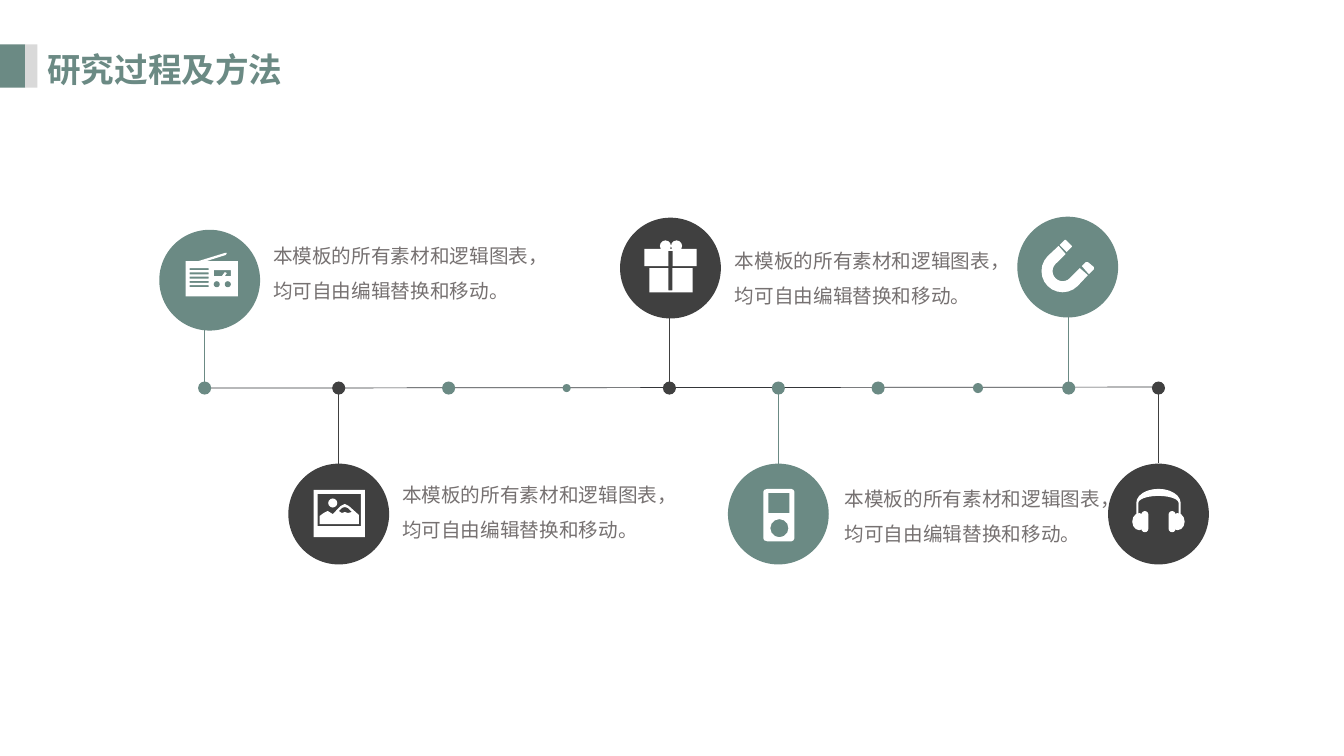
from math import cos, radians, sin

from lxml.etree import SubElement
from pptx import Presentation
from pptx.dml.color import RGBColor
from pptx.enum.shapes import MSO_CONNECTOR, MSO_SHAPE
from pptx.enum.text import MSO_AUTO_SIZE
from pptx.oxml.ns import qn
from pptx.util import Inches, Pt

FONT = "Noto Sans CJK SC"
GREEN, DARK, WHITE = "6B8A84", "404040", "FFFFFF"
CAPTION = "本模板的所有素材和逻辑图表，均可自由编辑替换和移动。"
STEM, BADGE, ARC_STEPS = 0.75, 1, 12

DOTS = [
    (2.03, 0.13, GREEN), (3.36, 0.13, DARK), (4.45, 0.13, GREEN),
    (5.62, 0.08, GREEN), (6.64, 0.13, DARK), (7.72, 0.13, GREEN),
    (8.71, 0.13, GREEN), (9.7, 0.1, GREEN), (10.6, 0.13, GREEN),
    (11.49, 0.13, DARK),
]
MILESTONES = [
    (2.03, 3.16, 1.58, 2.28, GREEN), (3.36, 3.91, 2.86, 4.6, DARK),
    (6.64, 3.12, 6.15, 2.16, DARK), (7.72, 3.91, 7.22, 4.6, GREEN),
    (10.6, 3.09, 10.09, 2.15, GREEN), (11.49, 3.84, 10.99, 4.6, DARK),
]
CAPTIONS = [(2.61, 2.25, 2.8), (3.89, 4.62, 2.74),
            (7.19, 2.3, 2.86), (8.28, 4.66, 2.74)]


def color(value):
    """Turn a hex string into a colour."""
    return RGBColor.from_string(value)


def paint(shape, fill):
    """Give a shape a flat fill without outline or shadow."""
    shape.shadow.inherit = False
    shape.fill.solid()
    shape.fill.fore_color.rgb = color(fill)
    shape.line.fill.background()


def add_preset(slide, kind, left, top, width, height, fill):
    """Add a flat preset shape."""
    shape = slide.shapes.add_shape(
        kind, Inches(left), Inches(top), Inches(width), Inches(height))
    paint(shape, fill)
    return shape


def add_disc(slide, x, y, diameter, fill):
    """Add a circle around a centre point."""
    add_preset(slide, MSO_SHAPE.OVAL, x - diameter / 2, y - diameter / 2,
               diameter, diameter, fill)


def add_line(slide, x1, y1, x2, y2, stroke):
    """Add a thin straight line."""
    line = slide.shapes.add_connector(
        MSO_CONNECTOR.STRAIGHT, Inches(x1), Inches(y1), Inches(x2), Inches(y2))
    line.line.color.rgb = color(stroke)
    line.line.width = Pt(0.5)
    SubElement(line._element.spPr, qn("a:effectLst"))


def add_text(slide, left, top, width, height, text, size, fill, bold=False, spacing=1):
    """Add a wrapped text box with one paragraph."""
    box = slide.shapes.add_textbox(
        Inches(left), Inches(top), Inches(width), Inches(height))
    frame = box.text_frame
    frame.word_wrap = True
    frame.auto_size = MSO_AUTO_SIZE.SHAPE_TO_FIT_TEXT
    paragraph = frame.paragraphs[0]
    paragraph.line_spacing = float(spacing)
    run = paragraph.add_run()
    run.text = text
    run.font.name = FONT
    run.font.size = Pt(size)
    run.font.bold = bold
    run.font.color.rgb = color(fill)
    SubElement(run._r.get_or_add_rPr(), qn("a:ea"), typeface=FONT)


def arc(x, y, radius_x, radius_y, start, end):
    """Return points along an elliptical arc, in degrees."""
    angles = [radians(start + (end - start) * step / ARC_STEPS)
              for step in range(ARC_STEPS + 1)]
    return [(x + radius_x * cos(a), y + radius_y * sin(a)) for a in angles]


def circle(x, y, radius):
    """Return the outline of a circle."""
    return arc(x, y, radius, radius, 0, 360)


def rectangle(left, top, right, bottom):
    """Return the outline of a rectangle."""
    return [(left, top), (right, top), (right, bottom), (left, bottom)]


def add_outline(slide, *contours):
    """Add a white freeform; inner contours become holes."""
    contours = [[(Inches(x), Inches(y)) for x, y in c] for c in contours]
    builder = slide.shapes.build_freeform(*contours[0][0])
    for index, contour in enumerate(contours):
        if index:
            builder.move_to(*contour[0])
        builder.add_line_segments(contour[1:], close=True)
    paint(builder.convert_to_shape(), WHITE)


def draw_radio(slide):
    """Draw the radio icon."""
    body = [(1.84, 2.59), (1.97, 2.59), (2.23, 2.51), (2.25, 2.51),
            (2.24, 2.53), (2.05, 2.59), (2.36, 2.59), (2.36, 2.94), (1.84, 2.94)]
    slots = [rectangle(1.88, 2.66 + 0.0425 * row, 2.07, 2.68 + 0.0425 * row)
             for row in range(5)]
    dial = [(2.12, 2.68), (2.29, 2.68), (2.29, 2.74), (2.23, 2.74),
            (2.25, 2.71), (2.23, 2.7), (2.2, 2.74), (2.12, 2.74)]
    add_outline(slide, body, *slots, dial)
    for x in (2.15, 2.26):
        add_disc(slide, x, 2.82, 0.06, GREEN)


def draw_photo(slide):
    """Draw the framed landscape icon."""
    add_outline(slide, rectangle(3.11, 4.86, 3.62, 5.33),
                rectangle(3.15, 4.9, 3.58, 5.22))
    add_disc(slide, 3.3, 4.99, 0.09, WHITE)
    hills = [(3.17, 5.12), (3.21, 5.09), (3.25, 5.07), (3.3, 5.1), (3.38, 5.02),
             (3.42, 5), (3.46, 5.02), (3.56, 5.11), (3.56, 5.2), (3.17, 5.2)]
    snow = [(3.45, 5.09), (3.42, 5.08), (3.39, 5.09), (3.36, 5.07),
            (3.39, 5.04), (3.42, 5.03), (3.45, 5.04), (3.49, 5.08)]
    add_outline(slide, hills, snow)


def draw_gift(slide):
    """Draw the gift icon."""
    for x in (6.6, 6.71):
        add_disc(slide, x, 2.44, 0.11, WHITE)
    add_outline(slide, [(6.39, 2.47), (6.91, 2.47), (6.91, 2.64), (6.67, 2.64),
                        (6.67, 2.49), (6.63, 2.49), (6.63, 2.64), (6.39, 2.64)])
    add_outline(slide, [(6.44, 2.66), (6.63, 2.66), (6.63, 2.88), (6.67, 2.88),
                        (6.67, 2.66), (6.87, 2.66), (6.87, 2.9), (6.44, 2.9)])


def draw_player(slide):
    """Draw the music player icon."""
    case = [(7.57, 4.88), (7.58, 4.86), (7.61, 4.85), (7.85, 4.85),
            (7.87, 4.86), (7.88, 4.88), (7.88, 5.34), (7.87, 5.36),
            (7.85, 5.37), (7.61, 5.37), (7.58, 5.36), (7.57, 5.34)]
    add_outline(slide, case, rectangle(7.62, 4.89, 7.83, 5.09),
                circle(7.73, 5.24, 0.09))


def draw_magnet(slide):
    """Draw the magnet icon."""
    add_outline(slide, [(10.51, 2.43), (10.56, 2.38), (10.57, 2.38),
                        (10.63, 2.44), (10.63, 2.45), (10.58, 2.5)])
    add_outline(slide, [(10.5, 2.44), *arc(10.54, 2.69, 0.21, 0.21, 225, 45),
                        (10.79, 2.73), (10.71, 2.66),
                        *arc(10.54, 2.69, 0.1, 0.1, 45, 225), (10.57, 2.52)])
    add_outline(slide, [(10.73, 2.64), (10.77, 2.6), (10.79, 2.6),
                        (10.85, 2.65), (10.85, 2.67), (10.8, 2.72)])


def draw_headphones(slide):
    """Draw the headphones icon."""
    add_outline(slide, [(11.27, 5.12), *arc(11.49, 4.99, 0.22, 0.14, 180, 360),
                        (11.71, 5.12), (11.69, 5.12),
                        *arc(11.49, 4.99, 0.2, 0.07, 360, 180), (11.29, 5.12)])
    for ear, cup in ((11.23, 11.32), (11.61, 11.59)):
        add_preset(slide, MSO_SHAPE.OVAL, ear, 5.09, 0.14, 0.17, WHITE)
        pad = add_preset(slide, MSO_SHAPE.ROUNDED_RECTANGLE,
                         cup, 5.07, 0.07, 0.21, WHITE)
        pad.adjustments[0] = 0.5


def main():
    """Build and save the slide."""
    presentation = Presentation()
    presentation.slide_width = Inches(13.33)
    presentation.slide_height = Inches(7.5)
    slide = presentation.slides.add_slide(presentation.slide_layouts[6])
    add_line(slide, 1.97, 3.85, 11.53, 3.84, "343639")
    for x, diameter, fill in DOTS:
        add_disc(slide, x, 3.85, diameter, fill)
    for stem_x, stem_top, left, top, fill in MILESTONES:
        add_line(slide, stem_x, stem_top, stem_x, stem_top + STEM, fill)
        add_preset(slide, MSO_SHAPE.OVAL, left, top, BADGE, BADGE, fill)
    for draw in (draw_radio, draw_photo, draw_gift, draw_player,
                 draw_magnet, draw_headphones):
        draw(slide)
    for left, top, width in CAPTIONS:
        add_text(slide, left, top, width, 0.81, CAPTION, 14, "767171", spacing=1.5)
    add_text(slide, 0.37, 0.44, 2.77, 0.5, "研究过程及方法", 24, GREEN, bold=True)
    add_preset(slide, MSO_SHAPE.RECTANGLE, 0, 0.44, 0.25, 0.43, GREEN)
    add_preset(slide, MSO_SHAPE.RECTANGLE, 0.25, 0.44, 0.12, 0.43, "D9D9D9")
    presentation.save("out.pptx")


if __name__ == "__main__":
    main()
